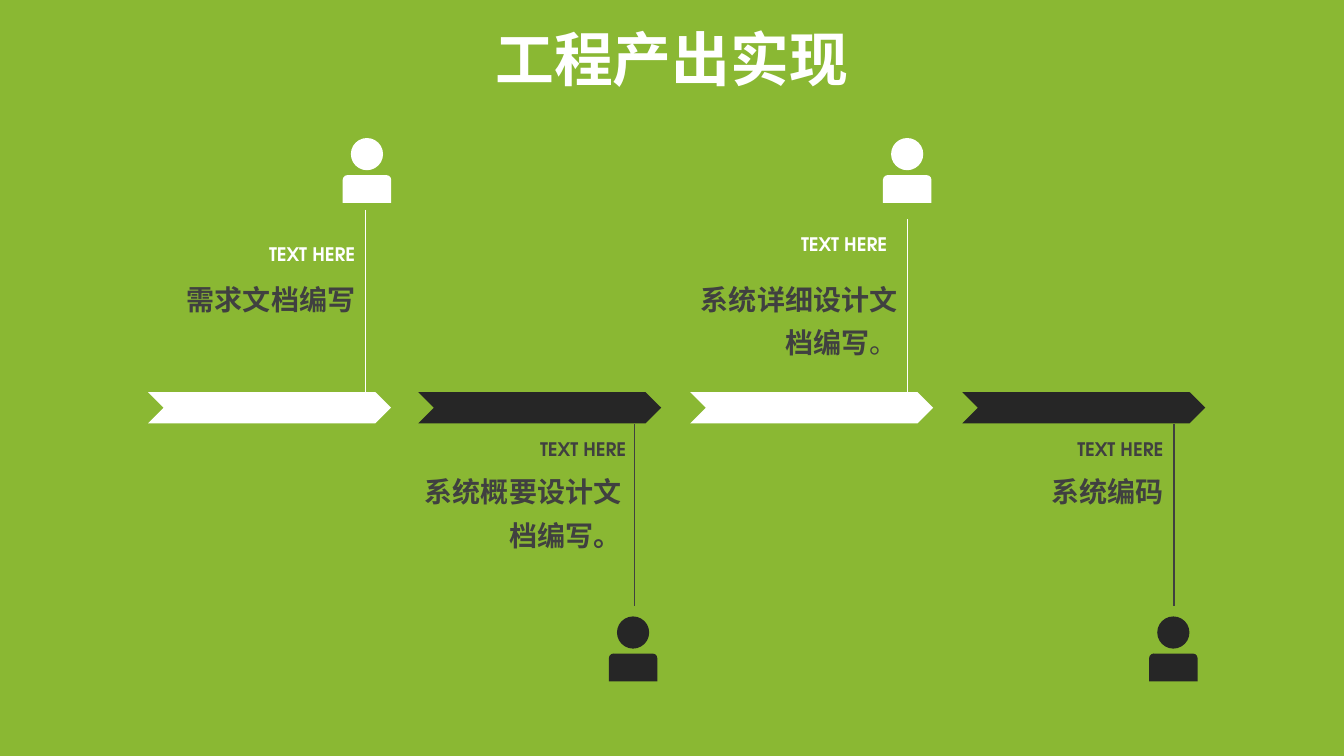
from typing import NamedTuple

from lxml.etree import SubElement
from pptx import Presentation
from pptx.dml.color import RGBColor
from pptx.enum.shapes import MSO_CONNECTOR, MSO_SHAPE
from pptx.enum.text import MSO_ANCHOR, PP_ALIGN
from pptx.oxml.ns import qn
from pptx.util import Pt

GREEN = RGBColor(0x8A, 0xB8, 0x33)
WHITE = RGBColor(0xFF, 0xFF, 0xFF)
BLACK = RGBColor(0x26, 0x26, 0x26)
GREY = RGBColor(0x40, 0x40, 0x40)
FONT = "TeX Gyre Adventor"

ARROW_TOP, ARROW_WIDTH, ARROW_HEIGHT = 280.1, 173.5, 22.3
STEM_LENGTH = 130
TASK_WIDTH = 171.4
HEAD_SIZE, BODY_WIDTH, BODY_HEIGHT, BODY_DROP = 23, 34.6, 19.8, 26.5


class Row(NamedTuple):
    fill: RGBColor
    ink: RGBColor
    task_top: float
    person_top: float


class Stage(NamedTuple):
    row: Row
    arrow_left: float
    stem_x: float
    stem_top: float
    label_right: float
    label_top: float
    task_right: float
    person_x: float
    task: str
    light_ending: str = ""


ABOVE = Row(WHITE, WHITE, 190.8, 98.6)
BELOW = Row(BLACK, GREY, 328.3, 440.3)
STAGES = (
    Stage(ABOVE, 105.8, 260.8, 150, 260.8, 169.9, 260.8, 262.1, "需求文档编写"),
    Stage(BELOW, 298.8, 453.4, 303, 454.4, 309.6, 450.8, 452.2, "系统概要设计文档编写。"),
    Stage(ABOVE, 493, 648.2, 156.5, 640.8, 162.7, 648, 648, "系统详细设计文档编写", "。"),
    Stage(BELOW, 687.4, 838.6, 303, 838.1, 309.6, 838.1, 838.1, "系统编码"),
)


def style(paragraph, size, color, align):
    paragraph.alignment = align
    font = paragraph.font
    font.name, font.size, font.bold = FONT, Pt(size), True
    font.color.rgb = color


def add_solid(slide, kind, left, top, width, height, color):
    solid = slide.shapes.add_shape(kind, Pt(left), Pt(top), Pt(width), Pt(height))
    solid.shadow.inherit = False
    solid.fill.solid()
    solid.fill.fore_color.rgb = color
    solid.line.fill.background()


def add_person(slide, center, top, color):
    add_solid(slide, MSO_SHAPE.OVAL, center - HEAD_SIZE / 2, top, HEAD_SIZE, HEAD_SIZE, color)
    add_solid(slide, MSO_SHAPE.ROUND_2_SAME_RECTANGLE, center - BODY_WIDTH / 2,
              top + BODY_DROP, BODY_WIDTH, BODY_HEIGHT, color)


def add_stem(slide, x, top, color):
    stem = slide.shapes.add_connector(
        MSO_CONNECTOR.STRAIGHT, Pt(x), Pt(top), Pt(x), Pt(top + STEM_LENGTH))
    stem.line.color.rgb = color
    stem.line.width = Pt(0.75)
    SubElement(stem._element.spPr, qn("a:effectLst"))


def add_caption(slide, right, top, width, height, text, size, color):
    box = slide.shapes.add_textbox(Pt(right - width), Pt(top), Pt(width), Pt(height))
    box.text_frame.word_wrap = True
    paragraph = box.text_frame.paragraphs[0]
    paragraph.add_run().text = text
    style(paragraph, size, color, PP_ALIGN.RIGHT)
    return paragraph


def add_stage(slide, stage):
    row = stage.row
    add_solid(slide, MSO_SHAPE.CHEVRON, stage.arrow_left, ARROW_TOP,
              ARROW_WIDTH, ARROW_HEIGHT, row.fill)
    add_stem(slide, stage.stem_x, stage.stem_top, row.ink)
    add_caption(slide, stage.label_right, stage.label_top, 150, 23.8,
                "TEXT HERE", 13.3, row.ink)
    task = add_caption(slide, stage.task_right, row.task_top, TASK_WIDTH,
                       70 if len(stage.task) > 6 else 39, stage.task, 20, GREY)
    task.line_spacing = 1.3
    if stage.light_ending:
        ending = task.add_run()
        ending.text = stage.light_ending
        ending.font.bold = False
    add_person(slide, stage.person_x, row.person_top, row.fill)


def add_title(slide, text):
    title = slide.shapes.title
    title.left, title.top, title.width, title.height = Pt(152.6), Pt(12.2), Pt(654.5), Pt(58.3)
    title.text_frame.text = text
    title.text_frame.vertical_anchor = MSO_ANCHOR.MIDDLE
    style(title.text_frame.paragraphs[0], 42, WHITE, PP_ALIGN.CENTER)


def main():
    """Build the slide of the four stages of engineering output."""
    deck = Presentation()
    deck.slide_width, deck.slide_height = Pt(960), Pt(540)
    slide = deck.slides.add_slide(deck.slide_layouts[5])
    slide.background.fill.solid()
    slide.background.fill.fore_color.rgb = GREEN
    add_title(slide, "工程产出实现")
    for stage in STAGES:
        add_stage(slide, stage)
    deck.save("out.pptx")


if __name__ == "__main__":
    main()
